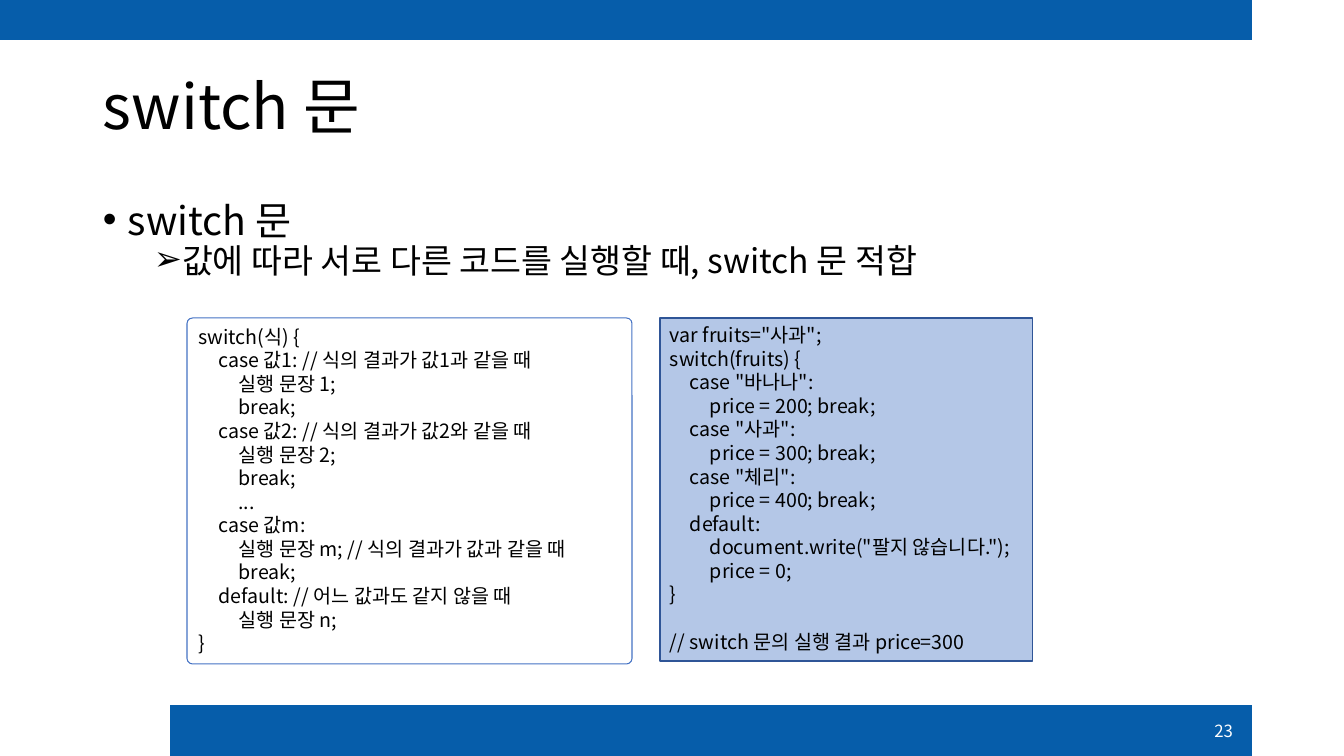
from lxml import etree
from pptx import Presentation
from pptx.dml.color import RGBColor
from pptx.enum.shapes import MSO_SHAPE
from pptx.enum.text import MSO_ANCHOR, PP_ALIGN
from pptx.oxml.ns import qn
from pptx.util import Pt

RECT, ROUND = MSO_SHAPE.RECTANGLE, MSO_SHAPE.ROUNDED_RECTANGLE
TOP, MIDDLE = MSO_ANCHOR.TOP, MSO_ANCHOR.MIDDLE
LEFT, RIGHT = PP_ALIGN.LEFT, PP_ALIGN.RIGHT

# Content
TITLE = "switch 문"
BULLETS = [  # text, size, bullet, left indent px, space before pt
    ("switch 문", 28, "•", 25, 0),
    ("값에 따라 서로 다른 코드를 실행할 때, switch 문 적합", 24, "➢", 76, 5),
]
SYNTAX = """switch(식) {
\tcase 값1: // 식의 결과가 값1과 같을 때
\t\t실행 문장 1;
\t\tbreak;
\tcase 값2: // 식의 결과가 값2와 같을 때
\t\t실행 문장 2;
\t\tbreak;
\t\t...
\tcase 값m:
\t\t실행 문장 m; // 식의 결과가 값과 같을 때
\t\tbreak;
\tdefault: // 어느 값과도 같지 않을 때
\t\t실행 문장 n;
}"""
EXAMPLE = """var fruits="사과";
switch(fruits) {
\tcase "바나나":
\t\tprice = 200; break;
\tcase "사과":
\t\tprice = 300; break;
\tcase "체리":
\t\tprice = 400; break;
\tdefault:
\t\tdocument.write("팔지 않습니다.");
\t\tprice = 0;
}

// switch 문의 실행 결과 price=300"""
PAGE = "23"

# Style
FONT = "Noto Sans CJK KR"
COLORS = {"bar": "065DAA", "text": "000000", "white": "FFFFFF",
          "syntax_line": "4472C4", "example": "B4C7E7", "example_line": "2F5597"}
PX = 9071  # EMU per px
HANG = 25
TAB = 20
CODE_SIZE = 14
CODE_PITCH = 16.85  # pt from line to line
BODY_SPACING = 0.75

prs = Presentation()
prs.slide_width, prs.slide_height = 1344 * PX, 756 * PX
slide = prs.slides.add_slide(prs.slide_layouts[6])


def color(name):
    return RGBColor.from_string(COLORS[name])


def add_box(box, kind, fill=None, line=None):
    sp = slide.shapes.add_shape(kind, *(v * PX for v in box))
    sp.shadow.inherit = False
    if fill:
        sp.fill.solid()
        sp.fill.fore_color.rgb = color(fill)
    else:
        sp.fill.background()
    if line:
        sp.line.color.rgb = color(line)
        sp.line.width = Pt(0.75)
    else:
        sp.line.fill.background()
    return sp


def add_text(box):
    return slide.shapes.add_textbox(*(v * PX for v in box))


def frame(sp, anchor=TOP):
    tf = sp.text_frame
    tf.word_wrap = True
    tf.vertical_anchor = anchor
    return tf


def next_paragraph(tf, i):
    return tf.paragraphs[0] if i == 0 else tf.add_paragraph()


def write(p, text, size, ink="text", align=LEFT):
    p.alignment = align
    r = p.add_run()
    r.text = text
    r.font.size = Pt(size)
    r.font.name = FONT
    r.font.color.rgb = color(ink)
    ea = etree.SubElement(r.font._element, qn("a:ea"))
    ea.set("typeface", FONT)


def write_code(sp, code):
    tf = frame(sp)
    for i, block in enumerate(code.split("\n\n")):
        for j, line in enumerate(block.split("\n")):
            p = next_paragraph(tf, i + j)
            tabs = etree.SubElement(p._p.get_or_add_pPr(), qn("a:tabLst"))
            for n in (1, 2):
                etree.SubElement(tabs, qn("a:tab"), pos=str(n * TAB * PX), algn="l")
            p.line_spacing = Pt(CODE_PITCH)
            if i and j == 0:
                p.space_before = Pt(CODE_PITCH)
            write(p, line, CODE_SIZE)


# Bars
add_box((170, 705, 1082, 51), RECT, "bar")
add_box((0, 0, 1252, 40), RECT, "bar")

# Title
p = frame(add_text((93, 40, 1159, 146)), MIDDLE).paragraphs[0]
p.line_spacing = BODY_SPACING
write(p, TITLE, 44)

# Bullets
tf = frame(add_text((93, 202, 1159, 110)))
for i, (text, size, mark, indent, before) in enumerate(BULLETS):
    p = next_paragraph(tf, i)
    pPr = p._p.get_or_add_pPr()
    pPr.set("marL", str(indent * PX))
    pPr.set("indent", str(-HANG * PX))
    etree.SubElement(pPr, qn("a:buFont"), typeface="Arial")
    etree.SubElement(pPr, qn("a:buChar"), char=mark)
    p.line_spacing = BODY_SPACING
    if before:
        p.space_before = Pt(before)
    write(p, text, size)

# Code boxes
syntax = add_box((187, 318, 445, 346), ROUND, line="syntax_line")
syntax.adjustments[0] = 0.016
write_code(syntax, SYNTAX)
example = add_box((660, 318, 373, 343), RECT, "example", "example_line")
write_code(example, EXAMPLE)

# Page number
p = frame(add_text((1181, 711, 62, 40)), MIDDLE).paragraphs[0]
write(p, PAGE, 12, "white", RIGHT)

prs.save("out.pptx")
